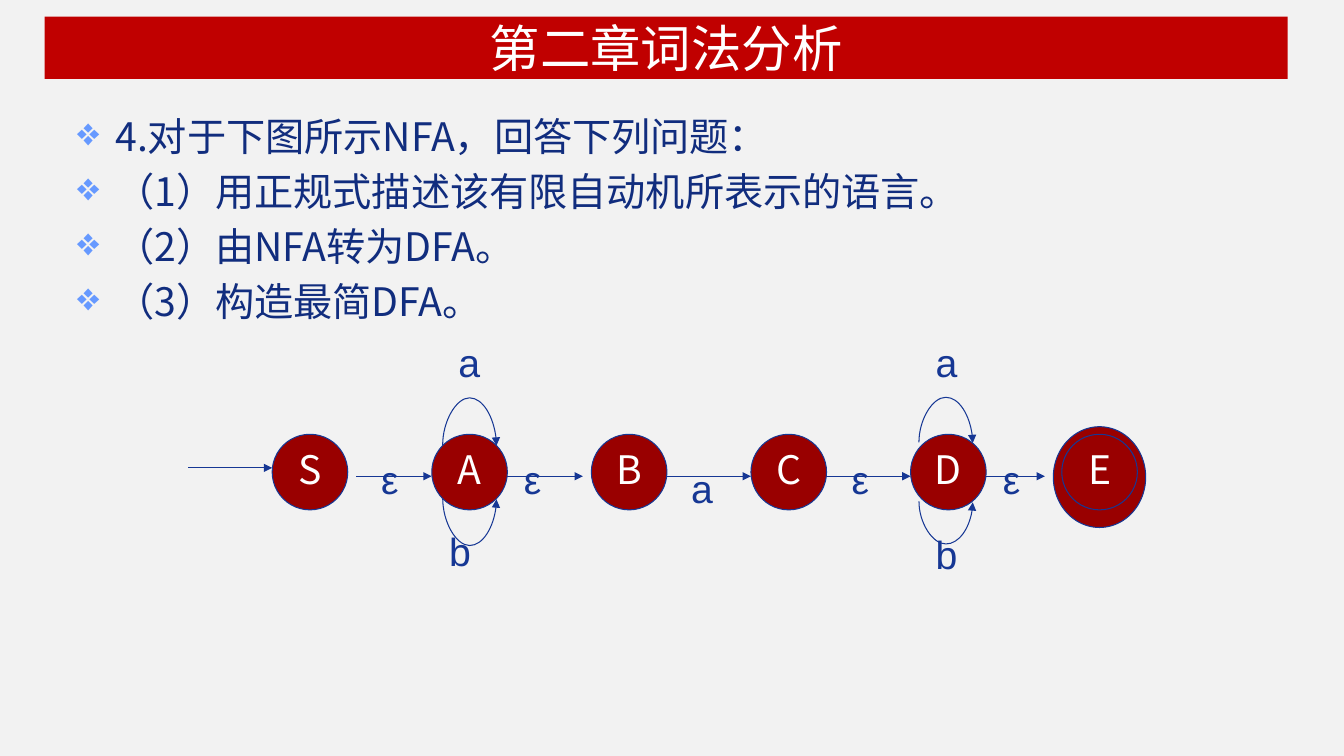
from dataclasses import dataclass

from lxml.etree import SubElement
from pptx import Presentation
from pptx.dml.color import RGBColor
from pptx.enum.shapes import MSO_CONNECTOR as LINK, MSO_SHAPE as SHAPE
from pptx.enum.text import MSO_ANCHOR as ANCHOR, MSO_AUTO_SIZE as FIT, PP_ALIGN as ALIGN
from pptx.oxml.ns import qn
from pptx.util import Inches, Pt


@dataclass(frozen=True)
class Theme:
    """Colours, fonts and type sizes of the slide."""
    back: str = "F2F2F2"
    banner: str = "C00000"
    state: str = "990000"
    line: str = "163794"
    body: str = "112D7E"
    bullet: str = "6699FF"
    white: str = "FFFFFF"
    cjk: str = "Noto Sans CJK SC"
    latin: str = "Arial"
    title_size: int = 36
    text_size: int = 28
    line_width: float = 0.75


T = Theme()
STATE_TOP, STATE_SIZE, ARROW_ROW = 51.7, 9, 56.7
STATES = {name: 32.4 + 19 * i for i, name in enumerate("SABCD")} | {"E": 126.4}
ARROWS = [(22.4, 32.4, 55.7), (42.4, 51.4, ARROW_ROW), (60.4, 69.4, ARROW_ROW),
          (79.4, 89.4, ARROW_ROW), (98.4, 108.4, ARROW_ROW), (117.4, 124.4, ARROW_ROW)]
LOOPS = [(52.7, 53, -5.64), (52.7, 59.4, 5.64), (109.4, 52.7, -5.4), (109.4, 59.75, 5.1)]
LABELS = [("ε", 44.2, 54.2), ("ε", 61.2, 54.2), ("a", 81.1, 55.3), ("ε", 100.2, 54.2),
          ("ε", 118.2, 54.2), ("a", 53.4, 40.3), ("b", 52.3, 62.8),
          ("a", 110.2, 40.3), ("b", 110.2, 63.2)]
QUESTIONS = ["4.对于下图所示NFA，回答下列问题：", "（1）用正规式描述该有限自动机所表示的语言。",
             "（2）由NFA转为DFA。", "（3）构造最简DFA。"]


def grid(*cells):
    """Convert cells of the 160 by 90 slide grid to lengths."""
    return [Inches(c / 12) for c in cells]


def rgb(colour):
    """Return a colour object for a hex string."""
    return RGBColor.from_string(colour)


def add_run(p, text, size, font, colour):
    """Add one run, with its font set for Latin and East Asian text."""
    r = p.add_run()
    r.text = text
    r.font.size, r.font.name = Pt(size), font
    r.font.color.rgb = rgb(colour)
    SubElement(r._r.get_or_add_rPr(), qn("a:ea"), typeface=font)


def add_panel(s, kind, cells, fill, line=None):
    """Add a flat filled shape, outlined if a line colour is given."""
    sp = s.shapes.add_shape(kind, *grid(*cells))
    sp.shadow.inherit = False
    sp.fill.solid()
    sp.fill.fore_color.rgb = rgb(fill)
    if line:
        sp.line.color.rgb = rgb(line)
        sp.line.width = Pt(T.line_width)
    else:
        sp.line.fill.background()
    return sp


def set_caption(sp, text, size, spacing=1.0):
    """Centre white text in a shape."""
    tf = sp.text_frame
    tf.vertical_anchor, tf.word_wrap = ANCHOR.MIDDLE, False
    p = tf.paragraphs[0]
    p.alignment, p.line_spacing = ALIGN.CENTER, spacing
    add_run(p, text, size, T.cjk, T.white)


def add_questions(s, cells):
    """Add the bulleted list of questions."""
    tf = s.shapes.add_textbox(*grid(*cells)).text_frame
    tf.word_wrap = True
    for i, text in enumerate(QUESTIONS):
        p = tf.add_paragraph() if i else tf.paragraphs[0]
        pPr = p._p.get_or_add_pPr()
        pPr.set("marL", str(Inches(0.38)))
        pPr.set("indent", str(-Inches(0.38)))
        SubElement(SubElement(pPr, qn("a:buClr")), qn("a:srgbClr"), val=T.bullet)
        SubElement(pPr, qn("a:buChar"), char="❖")
        p.space_before = Pt(0.2 * T.text_size if i else 0)
        add_run(p, text, T.text_size, T.cjk, T.body)


def add_arrow(s, kind, x1, y1, x2, y2):
    """Add a thin connector with an arrowhead at its end."""
    c = s.shapes.add_connector(kind, *grid(x1, y1, x2, y2))
    c.line.color.rgb = rgb(T.line)
    c.line.width = Pt(T.line_width)
    SubElement(c.line._get_or_add_ln(), qn("a:tailEnd"), type="triangle")
    SubElement(c._element.spPr, qn("a:effectLst"))
    return c


def add_loop(s, left, row, bulge, span=6.4, depth=0.1):
    """Add a curved arrow from left to right that bulges up or down."""
    x, y = left + (span - depth) / 2, row - span / 2
    spPr = add_arrow(s, LINK.CURVE, x, y, x + depth, y + span)._element.spPr
    turn, flip = (90, "flipV") if bulge < 0 else (270, "flipH")
    spPr.xfrm.set("rot", str(turn * 60000))
    spPr.xfrm.set(flip, "1")
    guides = spPr.find(qn("a:prstGeom")).get_or_add_avLst()
    SubElement(guides, qn("a:gd"), name="adj1", fmla=f"val {round(bulge / depth * 100000)}")


def add_label(s, text, x, y):
    """Add the symbol of a transition."""
    tf = s.shapes.add_textbox(*grid(x, y, 5, 6.2)).text_frame
    tf.word_wrap, tf.auto_size = False, FIT.SHAPE_TO_FIT_TEXT
    p = tf.paragraphs[0]
    p.line_spacing = 0.9
    add_run(p, text, T.text_size, T.latin, T.line)


def main():
    """Build the slide and save it."""
    prs = Presentation()
    prs.slide_width, prs.slide_height = grid(160, 90)
    s = prs.slides.add_slide(prs.slide_layouts[6])
    s.background.fill.solid()
    s.background.fill.fore_color.rgb = rgb(T.back)
    banner = add_panel(s, SHAPE.RECTANGLE, (5.3, 2, 148, 7.4), T.banner)
    set_caption(banner, "第二章词法分析", T.title_size)
    add_questions(s, (8, 12.8, 144, 68.9))
    add_panel(s, SHAPE.OVAL, (125.4, 50.8, 11, 12), T.state, T.line)
    for name, x in STATES.items():
        state = add_panel(s, SHAPE.OVAL, (x, STATE_TOP, STATE_SIZE, STATE_SIZE), T.state, T.line)
        set_caption(state, name, T.text_size, 0.9)
    for start, end, row in ARROWS:
        add_arrow(s, LINK.STRAIGHT, start, row, end, row)
    for loop in LOOPS:
        add_loop(s, *loop)
    for label in LABELS:
        add_label(s, *label)
    prs.save("out.pptx")


if __name__ == "__main__":
    main()
